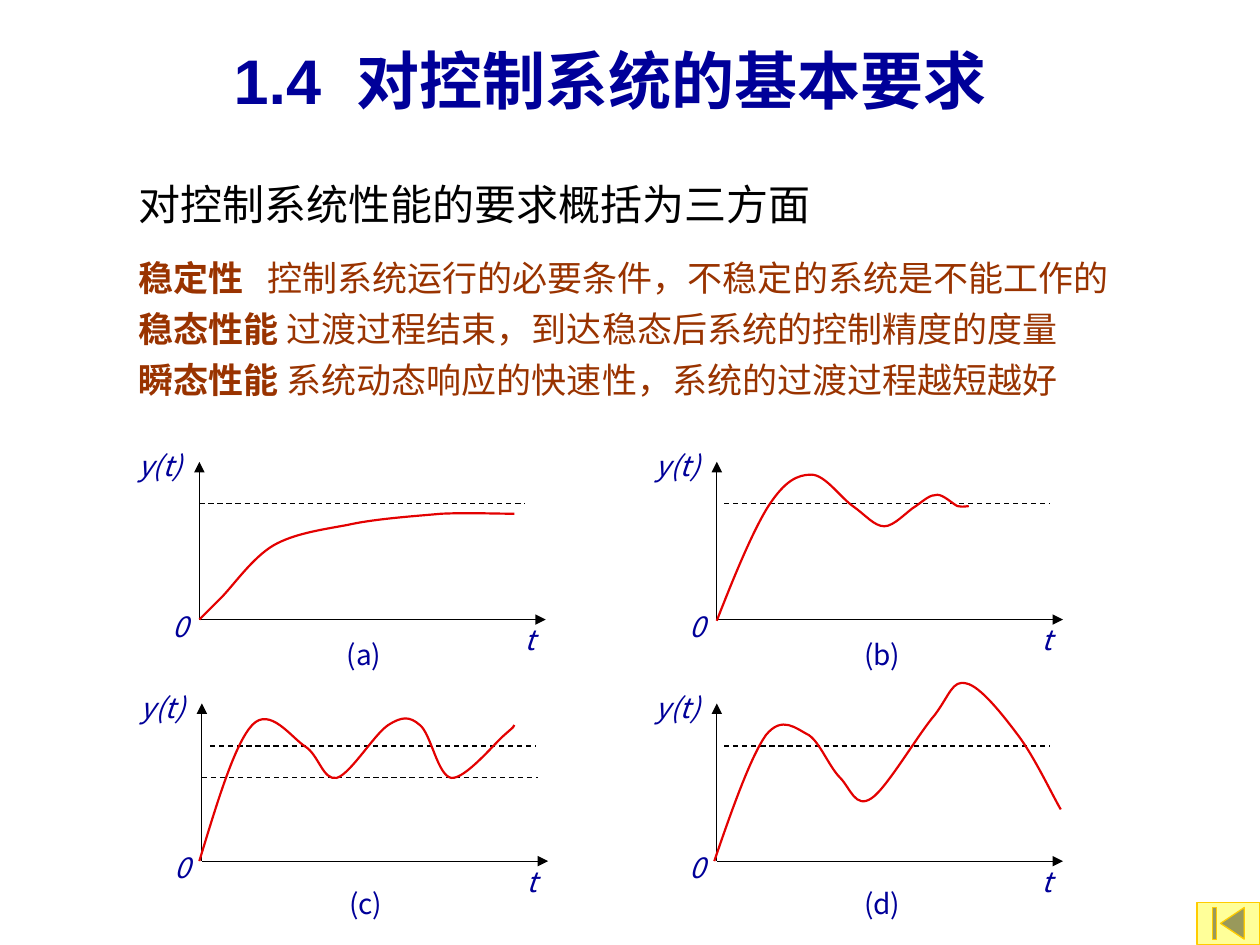
import dataclasses

import pptx
import pptx.dml.color
import pptx.enum.dml
import pptx.enum.shapes
import pptx.enum.text
import pptx.oxml
import pptx.oxml.ns
import pptx.util

Cm = pptx.util.Cm
Pt = pptx.util.Pt
qn = pptx.oxml.ns.qn


@dataclasses.dataclass(frozen=True)
class Theme:
    navy: str = "000099"
    black: str = "000000"
    brown: str = "993300"
    curve: str = "E30101"
    button: str = "FFFF99"
    button_edge: str = "FFCC00"
    title_font: str = "Arial"
    heading_font: str = "Noto Sans CJK JP"
    body_font: str = "Noto Sans CJK SC"
    title_size: int = 36
    heading_size: int = 24
    body_size: int = 20
    label_size: int = 16
    thin: float = 0.75
    thick: float = 1.25


@dataclasses.dataclass(frozen=True)
class Response:
    """A step response; origin and levels in cm, curve in hundredths of an inch."""
    caption: str
    origin: tuple
    caption_drop: float
    levels: tuple  # (start, length, height) of each dashed line
    curve: tuple  # start point, then cubic control points, y upwards


THEME = Theme()
CURVE_STEP = Cm(2.54) / 100
LEFT, RIGHT, UPPER, LOWER = 4.02, 14.45, 12.49, 17.36

REQUIREMENTS = (
    ("稳定性", 9, "控制系统运行的必要条件，不稳定的系统是不能工作的"),
    ("稳态性能", 0, "过渡过程结束，到达稳态后系统的控制精度的度量"),
    ("瞬态性能", 0, "系统动态响应的快速性，系统的过渡过程越短越好"),
)

RESPONSES = (
    Response("(a)", (LEFT, UPPER), 0.21, ((0, 6.56, 2.34),), (
        (0, 0), (4, 4), (7, 7), (17, 17), (27, 27), (42, 49), (59, 59),
        (75, 68), (95, 71), (117, 75), (139, 80), (170, 82), (192, 84),
        (214, 85), (232, 84), (250, 84))),
    Response("(b)", (RIGHT, UPPER), 0.21, ((0.15, 6.56, 2.34),), (
        (0, -1), (14, 35), (29, 71), (41, 90), (54, 110), (64, 115), (75, 115),
        (86, 115), (98, 97), (108, 90), (118, 83), (125, 74), (133, 74),
        (141, 74), (151, 86), (158, 90), (165, 95), (169, 99), (175, 99),
        (180, 99), (187, 92), (191, 90), (196, 89), (198, 90), (200, 90))),
    Response("(c)", (LEFT + 0.05, LOWER), 0.35,
             ((0.17, 6.56, 2.32), (0, 6.78, 1.69)), (
        (-2, 0), (12, 46), (26, 93), (40, 108), (54, 123), (71, 98), (82, 91),
        (93, 84), (96, 64), (107, 66), (118, 69), (137, 101), (148, 108),
        (159, 115), (165, 115), (173, 108), (182, 101), (187, 68), (198, 66),
        (209, 65), (232, 93), (240, 100), (248, 107), (248, 107), (248, 108))),
    Response("(d)", (RIGHT, LOWER), 0.35, ((0.15, 6.56, 2.32),), (
        (-2, 0), (12, 41), (27, 83), (39, 100), (52, 116), (63, 105), (73, 100),
        (82, 94), (89, 75), (98, 66), (106, 58), (110, 41), (123, 50),
        (135, 58), (160, 101), (173, 116), (185, 132), (187, 144), (198, 141),
        (209, 139), (227, 116), (239, 100), (252, 83), (267, 51), (273, 41))),
)


def rgb(value):
    return pptx.dml.color.RGBColor.from_string(value)


def add_run(paragraph, text, size, color, font, bold=False, italic=False, spacing=0):
    """Add a run; spacing is extra letter spacing in points."""
    run = paragraph.add_run()
    run.text = text
    run.font.size = Pt(size)
    run.font.bold = bold
    run.font.italic = italic
    run.font.name = font
    run.font.color.rgb = rgb(color)
    properties = run.font._element
    east_asian = pptx.oxml.parse_xml(
        f'<a:ea {pptx.oxml.ns.nsdecls("a")} typeface="{font}"/>')
    properties.find(qn("a:latin")).addnext(east_asian)
    if spacing:
        properties.set("spc", str(spacing * 100))


def add_text_frame(slide, left, top, width, height):
    frame = slide.shapes.add_textbox(Cm(left), Cm(top), Cm(width), Cm(height)).text_frame
    frame.word_wrap = True
    return frame


def add_title(slide):
    frame = add_text_frame(slide, 1.5, 0, 21.59, 3.18)
    frame.vertical_anchor = pptx.enum.text.MSO_ANCHOR.MIDDLE
    title = frame.paragraphs[0]
    title.alignment = pptx.enum.text.PP_ALIGN.CENTER
    style = (THEME.title_size, THEME.navy, THEME.title_font, True)
    add_run(title, "1.4", *style)
    add_run(title, " ", *style, spacing=10)
    add_run(title, "对控制系统的基本要求", *style)


def add_requirements(slide):
    frame = add_text_frame(slide, 2.54, 3.18, 20.96, 5.03)
    heading = frame.paragraphs[0]
    heading.line_spacing = Pt(37)
    heading.space_after = Pt(11)
    add_run(heading, "对控制系统性能的要求概括为三方面",
            THEME.heading_size, THEME.black, THEME.heading_font)
    style = (THEME.body_size, THEME.brown, THEME.body_font)
    for term, gap, meaning in REQUIREMENTS:
        line = frame.add_paragraph()
        line.line_spacing = Pt(29)
        add_run(line, term, *style, bold=True)
        add_run(line, " ", *style, spacing=gap)
        add_run(line, meaning, *style)


def add_label(slide, text, left, top, width, italic=True):
    label = add_text_frame(slide, left, top, width, 0.94).paragraphs[0]
    label.line_spacing = Pt(20)
    add_run(label, text, THEME.label_size, THEME.navy, THEME.body_font, italic=italic)


def add_line(slide, start, end, arrow=False):
    """Draw an axis with an arrowhead, or a dashed level line."""
    line = slide.shapes.add_connector(
        pptx.enum.shapes.MSO_CONNECTOR.STRAIGHT, *map(Cm, start + end))
    line.line.color.rgb = rgb(THEME.black)
    line.line.width = Pt(THEME.thin)
    properties = line._element.spPr
    if arrow:
        head = pptx.oxml.parse_xml(
            f'<a:tailEnd {pptx.oxml.ns.nsdecls("a")} type="triangle"/>')
        properties.find(qn("a:ln")).append(head)
    else:
        line.line.dash_style = pptx.enum.dml.MSO_LINE.DASH
    properties.append(pptx.oxml.parse_xml(
        f'<a:effectLst {pptx.oxml.ns.nsdecls("a")}/>'))


def add_curve(slide, origin, points):
    """Draw a smooth outline, joining each three points into one cubic segment."""
    x, y = map(Cm, origin)
    start, *controls = [(x + px * CURVE_STEP, y - py * CURVE_STEP) for px, py in points]
    builder = slide.shapes.build_freeform(*start)
    builder.add_line_segments(controls, close=False)
    curve = builder.convert_to_shape()
    curve.shadow.inherit = False
    curve.fill.background()
    curve.line.color.rgb = rgb(THEME.curve)
    curve.line.width = Pt(THEME.thick)
    segments = list(curve._element.iter(qn("a:lnTo")))
    for first in range(0, len(segments), 3):
        cubic = pptx.oxml.parse_xml(
            f'<a:cubicBezTo {pptx.oxml.ns.nsdecls("a")}/>')
        segments[first].addprevious(cubic)
        for segment in segments[first:first + 3]:
            cubic.append(segment[0])
            segment.getparent().remove(segment)


def add_response(slide, response):
    x, y = response.origin
    add_line(slide, (x, y), (x, y - 3.18), arrow=True)
    add_line(slide, (x, y), (x + 6.98, y), arrow=True)
    add_label(slide, "y(t)", x - 1.48, y - 3.6, 1.7)
    add_label(slide, "t", x + 6.3, y - 0.09, 1.07)
    add_label(slide, "0", x - 0.8, y - 0.36, 1.07)
    for start, length, height in response.levels:
        add_line(slide, (x + start, y - height), (x + start + length, y - height))
    add_curve(slide, response.origin, response.curve)
    add_label(slide, response.caption, x + 2.72, y + response.caption_drop, 1.27,
              italic=False)


def add_return_button(slide):
    button = slide.shapes.add_shape(
        pptx.enum.shapes.MSO_SHAPE.ACTION_BUTTON_BEGINNING,
        Cm(24.13), Cm(18.19), Cm(1.27), Cm(0.85))
    button.shadow.inherit = False
    button.fill.solid()
    button.fill.fore_color.rgb = rgb(THEME.button)
    button.line.color.rgb = rgb(THEME.button_edge)
    button.line.width = Pt(THEME.thin)


def main():
    presentation = pptx.Presentation()
    presentation.slide_width = Cm(25.4)
    presentation.slide_height = Cm(19.05)
    slide = presentation.slides.add_slide(presentation.slide_layouts[6])
    add_requirements(slide)
    for response in RESPONSES:
        add_response(slide, response)
    add_return_button(slide)
    add_title(slide)
    presentation.save("out.pptx")


if __name__ == "__main__":
    main()
